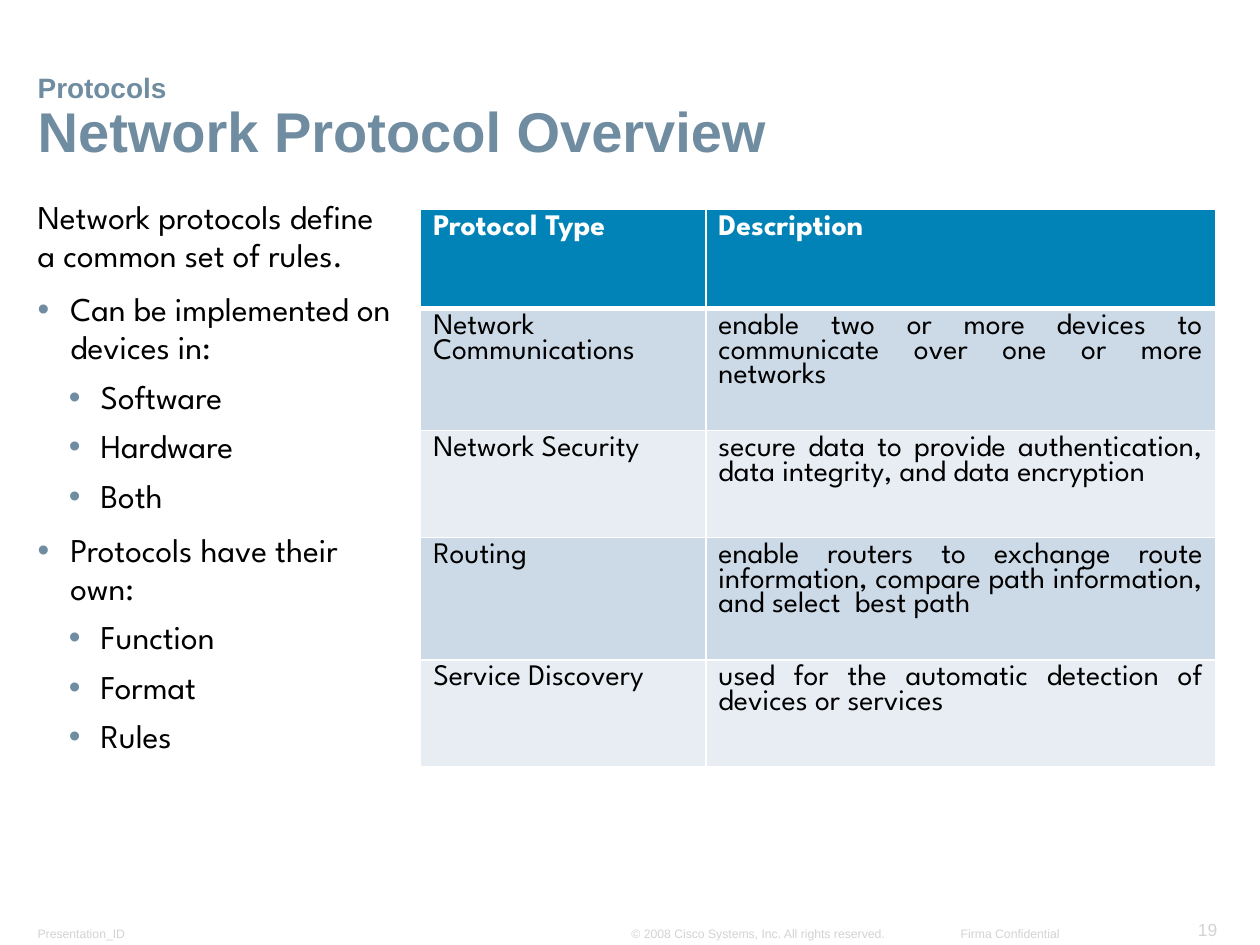
from dataclasses import dataclass

from lxml.etree import SubElement
from pptx import Presentation
from pptx.dml.color import RGBColor
from pptx.enum.text import MSO_ANCHOR, MSO_AUTO_SIZE, PP_ALIGN
from pptx.oxml.ns import qn
from pptx.util import Cm, Pt

SLATE = RGBColor(0x70, 0x8C, 0xA1)
BLACK = RGBColor(0, 0, 0)
WHITE = RGBColor(0xFF, 0xFF, 0xFF)
GRAY = RGBColor(0xD3, 0xD3, 0xD3)
BLUE = RGBColor(0x01, 0x83, 0xB7)
DARK = RGBColor(0xCC, 0xD9, 0xE6)
LIGHT = RGBColor(0xE7, 0xED, 0xF3)
SANS = "Arial"
ROUND = "League Spartan"


@dataclass
class Item:
    text: str
    level: int = 0
    mark: bool = True


@dataclass
class Note:
    text: str
    left: float
    top: float
    width: float
    height: float
    size: int = 7
    align: PP_ALIGN = PP_ALIGN.LEFT
    wrap: bool = False


ITEMS = [
    Item("Network protocols define a common set of rules.", mark=False),
    Item("Can be implemented on devices in:"),
    Item("Software", 1),
    Item("Hardware", 1),
    Item("Both", 1),
    Item("Protocols have their own:"),
    Item("Function", 1),
    Item("Format", 1),
    Item("Rules", 1),
]

ROWS = [
    ("Protocol Type", "Description"),
    ("Network Communications",
     "enable two or more devices to communicate over one or more networks"),
    ("Network Security",
     "secure data to provide authentication, data integrity, and data encryption"),
    ("Routing",
     "enable routers to exchange route information, compare path information, "
     "and select  best path"),
    ("Service Discovery",
     "used for the automatic detection of devices or services"),
]
WIDTHS = [5.75, 10.27]
HEIGHTS = [2.0, 2.46, 2.16, 2.46, 2.16]

NOTES = [
    Note("Presentation_ID", 0.53, 18.54, 2.67, 0.53, wrap=True),
    Note("19", 23.88, 18.41, 0.89, 0.66, size=10, align=PP_ALIGN.RIGHT),
    Note("© 2008 Cisco Systems, Inc. All rights reserved.", 12.5, 18.54, 5.61, 0.53),
    Note("Firma Confidential", 19.15, 18.54, 2.44, 0.53, align=PP_ALIGN.RIGHT),
]


def write(par, text: str, *, size: float, font: str = SANS, color=BLACK,
          bold: bool = False, align=PP_ALIGN.LEFT, lines: float = 1.0,
          before: float = 0) -> None:
    par.alignment = align
    par.line_spacing = lines
    par.space_before = Pt(before)
    par.space_after = Pt(0)
    run = par.add_run()
    run.text = text
    run.font.size = Pt(size)
    run.font.name = font
    run.font.bold = bold
    run.font.color.rgb = color


def place(shape, left: float, top: float, width: float, height: float) -> None:
    shape.left, shape.top = Cm(left), Cm(top)
    shape.width, shape.height = Cm(width), Cm(height)


def frame(shape, anchor, wrap: bool = True):
    box = shape.text_frame
    box.auto_size = MSO_AUTO_SIZE.NONE
    box.word_wrap = wrap
    box.vertical_anchor = anchor
    box.margin_left = box.margin_right = Cm(0.23)
    box.margin_top = box.margin_bottom = Cm(0.11)
    return box


def bullet(par, item: Item) -> None:
    props = par._p.get_or_add_pPr()
    if not item.mark:
        props.set("marL", "0")
        props.set("indent", "0")
        SubElement(props, qn("a:buNone"))
        return
    left, hang = [(0.66, 0.66), (1.27, 0.64)][item.level]
    props.set("marL", str(Cm(left)))
    props.set("indent", str(-Cm(hang)))
    tint = SubElement(props, qn("a:buClr"))
    SubElement(tint, qn("a:srgbClr"), val=str(SLATE))
    SubElement(props, qn("a:buFont"), typeface=SANS)
    SubElement(props, qn("a:buChar"), char="•")


def edge(cell, side: str, width: float) -> None:
    line = SubElement(cell._tc.get_or_add_tcPr(), qn("a:" + side), w=str(Pt(width)))
    fill = SubElement(line, qn("a:solidFill"))
    SubElement(fill, qn("a:srgbClr"), val=str(WHITE))


def draw_title(slide) -> None:
    title = slide.shapes.title
    place(title, 0.53, 1.09, 24.36, 2.34)
    par = frame(title, MSO_ANCHOR.BOTTOM).paragraphs[0]
    look = dict(color=SLATE, bold=True, lines=0.9)
    write(par, "Protocols", size=16, **look)
    par.add_line_break()
    write(par, "Network Protocol Overview", size=32, **look)


def draw_list(slide, items: list[Item]) -> None:
    body = slide.placeholders[1]
    place(body, 0.53, 3.91, 7.67, 10.03)
    box = frame(body, MSO_ANCHOR.TOP)
    for i, item in enumerate(items):
        par = box.add_paragraph() if i else box.paragraphs[0]
        par.level = item.level
        bullet(par, item)
        gap = (9.3, 6.6)[item.level] if i else 0
        write(par, item.text, size=19, font=ROUND, lines=0.95, before=gap)


def draw_table(slide, rows: list[tuple[str, str]]) -> None:
    grid = slide.shapes.add_table(
        len(rows), len(WIDTHS), Cm(8.48), Cm(4.22),
        Cm(sum(WIDTHS)), Cm(sum(HEIGHTS))).table
    for col, width in zip(grid.columns, WIDTHS):
        col.width = Cm(width)
    for r, row in enumerate(rows):
        grid.rows[r].height = Cm(HEIGHTS[r])
        head = r == 0
        for c, text in enumerate(row):
            cell = grid.cell(r, c)
            # Thick rule between the header and the first row
            for side, width in (("lnL", 1), ("lnR", 1), ("lnT", 3 if r == 1 else 1),
                                ("lnB", 3 if head else 1)):
                edge(cell, side, width)
            cell.fill.solid()
            cell.fill.fore_color.rgb = BLUE if head else DARK if r % 2 else LIGHT
            write(cell.text_frame.paragraphs[0], text, size=17, font=ROUND,
                  color=WHITE if head else BLACK, bold=head,
                  align=PP_ALIGN.JUSTIFY, lines=0.9)


def draw_note(slide, note: Note) -> None:
    shape = slide.shapes.add_textbox(
        Cm(note.left), Cm(note.top), Cm(note.width), Cm(note.height))
    box = frame(shape, MSO_ANCHOR.BOTTOM, note.wrap)
    write(box.paragraphs[0], note.text, size=note.size, color=GRAY, align=note.align)


def main() -> None:
    deck = Presentation()
    deck.slide_width, deck.slide_height = Cm(25.4), Cm(19.05)
    slide = deck.slides.add_slide(deck.slide_layouts[1])
    # Footer line
    for note in NOTES:
        draw_note(slide, note)
    # Content
    draw_title(slide)
    draw_list(slide, ITEMS)
    draw_table(slide, ROWS)
    deck.save("out.pptx")


if __name__ == "__main__":
    main()
